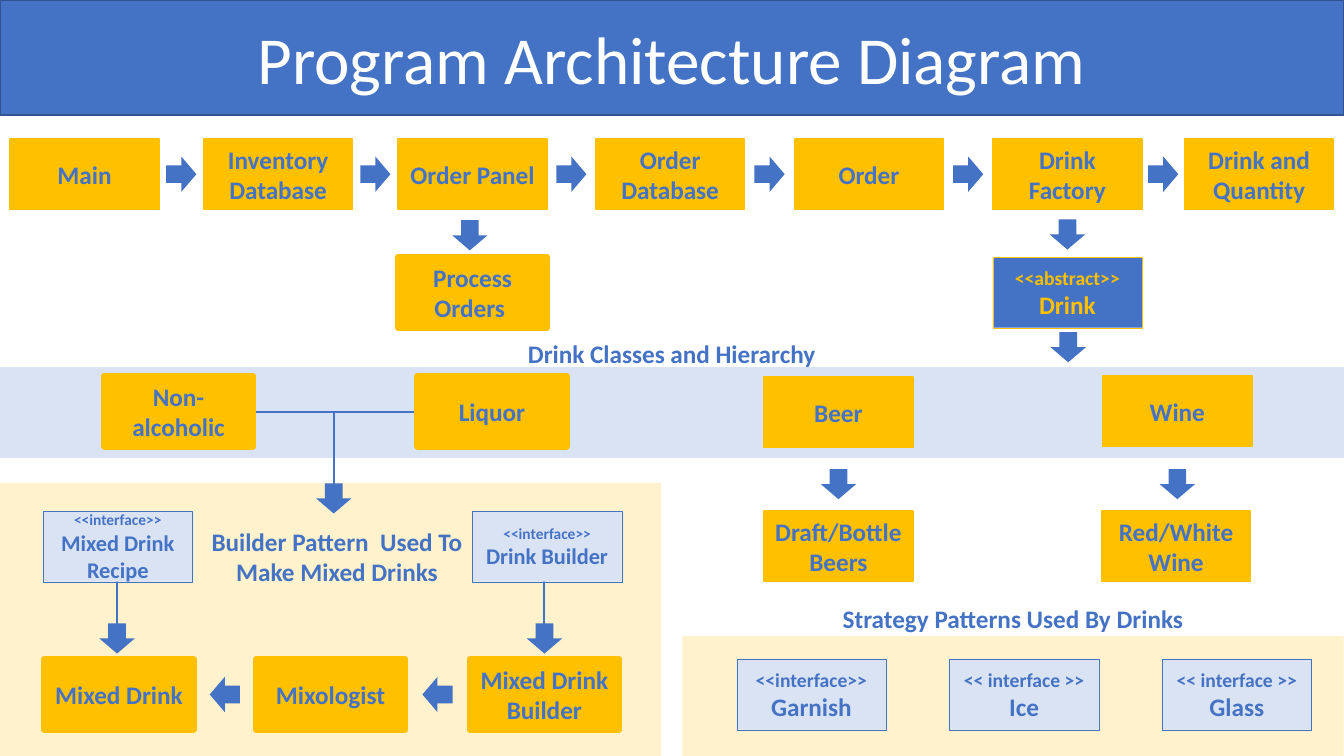
from lxml import etree
from pptx import Presentation
from pptx import util as u
from pptx.dml import color
from pptx.enum import shapes, text
from pptx.oxml import ns

COLORS = {"blue": "4472C4", "navy": "325491", "gold": "FFC000",
          "pale": "DAE3F3", "cream": "FFF2CC", "white": "FFFFFF"}
FONT = "Calibri"
SLIDE = (33.87, 19.05)
BOX = (3.76, 1.78)
ARROW = (0.76, 0.89)

# All lengths are in centimetres.
BANDS = [(0, 12.17, 16.66, 6.88, "cream"), (0, 9.25, SLIDE[0], 2.29, "pale"),
         (17.2, 16.03, 16.66, 3.02, "cream")]
TITLE = "Program Architecture Diagram"
LABELS = [("Drink Classes and Hierarchy", (8.46, 8.41, 16.94, 1.02)),
          ("Strategy Patterns Used By Drinks", (17.2, 15.09, 16.66, 1.02)),
          ("Builder Pattern  Used To Make Mixed Drinks", (5.08, 13.13, 6.83, 1.8))]

FLOW_TOP = 3.5
FLOW = [("Main", 0.25), ("Inventory\nDatabase", 5.13), ("Order Panel", 10.03),
        ("Order Database", 15.01), ("Order", 20.02), ("Drink Factory", 25.02),
        ("Drink and Quantity", 29.85)]
CLASSES = [("Wine", 27.79, 9.47), ("Beer", 19.25, 9.5),
           ("Draft/Bottle Beers", 19.25, 12.88), ("Red/White Wine", 27.76, 12.88)]
BUILDER_TOP = 16.61
BUILDERS = [("Mixed Drink", 1.12), ("Mixologist", 6.45), ("Mixed Drink Builder", 11.84)]
THICK_CLASSES = [("Process Orders ", 10.03, 6.48), ("Liquor", 10.52, 9.47),
                 ("Non-alcoholic", 2.62, 9.47)]

# Stereotype, name, left, top, stereotype size, name size
INTERFACES = [("<<interface>> ", "Mixed Drink Recipe", 1.09, 12.88, 11, 16),
              ("<<interface>> ", "Drink Builder", 11.91, 12.88, 11, 16),
              ("<<interface>> ", "Garnish", 18.57, BUILDER_TOP, 14, 18),
              ("<< interface >> ", "Ice", 23.93, BUILDER_TOP, 14, 18),
              ("<< interface >> ", "Glass", 29.29, BUILDER_TOP, 14, 18)]

# Start x, start y, end x, end y
LINES = [(6.38, 10.39, 10.52, 10.39), (8.41, 12.27, 8.41, 10.39),
         (2.95, 16.03, 2.95, 14.15), (13.72, 16.03, 13.72, 14.15)]
DOWN_ARROWS = [(11.84, 5.93), (26.9, 5.91), (26.92, 8.75), (21.13, 12.2),
               (29.67, 12.2), (8.41, 12.56), (2.95, 16.09), (13.72, 16.09)]


def rgb(name):
    """Return the named colour."""
    return color.RGBColor.from_string(COLORS[name])


def write(shape, spans, ink="blue", bold=True, anchor=text.MSO_ANCHOR.MIDDLE):
    """Write centred (words, size) spans into a shape."""
    frame = shape.text_frame
    frame.word_wrap = True
    frame.vertical_anchor = anchor
    para = frame.paragraphs[0]
    para.alignment = text.PP_ALIGN.CENTER
    for words, size in spans:
        for number, line in enumerate(words.split("\n")):
            if number:
                para.add_line_break()
            span = para.add_run()
            span.text = line
            span.font.name, span.font.size = FONT, u.Pt(size)
            span.font.bold, span.font.color.rgb = bold, rgb(ink)


def add_shape(frame, fill, kind=shapes.MSO_SHAPE.RECTANGLE, line=None, weight=1):
    """Add a flat preset shape at (left, top, width, height)."""
    shape = slide.shapes.add_shape(kind, *map(u.Cm, frame))
    shape.shadow.inherit = False
    shape.fill.solid()
    shape.fill.fore_color.rgb = rgb(fill)
    if line:
        shape.line.color.rgb = rgb(line)
        shape.line.width = u.Pt(weight)
    else:
        shape.line.fill.background()
    return shape


def add_box(spans, left, top, fill="gold", line="gold", weight=1, ink="blue"):
    """Add one class box with its text."""
    write(add_shape((left, top, *BOX), fill, line=line, weight=weight), spans, ink)


def add_arrow(center_x, center_y, turn=0):
    """Add a block arrow around its centre, turned clockwise in degrees."""
    width, height = ARROW
    frame = (center_x - width / 2, center_y - height / 2, width, height)
    add_shape(frame, "blue", shapes.MSO_SHAPE.RIGHT_ARROW).rotation = turn


def add_gap_arrows(lefts, top, turn=0):
    """Centre an arrow in each gap of a row of boxes."""
    for left, following in zip(lefts, lefts[1:]):
        add_arrow((left + BOX[0] + following) / 2, top + BOX[1] / 2, turn)


def add_line(ends):
    """Add a straight line without a shadow."""
    line = slide.shapes.add_connector(shapes.MSO_CONNECTOR.STRAIGHT, *map(u.Cm, ends))
    line.line.color.rgb = rgb("blue")
    line.line.width = u.Pt(1.5)
    etree.SubElement(line._element.spPr, ns.qn("a:effectLst"))


deck = Presentation()
deck.slide_width, deck.slide_height = map(u.Cm, SLIDE)
slide = deck.slides.add_slide(deck.slide_layouts[6])

for *frame, fill in BANDS:
    add_shape(frame, fill)
banner = add_shape((0, 0, SLIDE[0], 2.9), "blue", line="navy")
write(banner, [(TITLE, 48)], ink="white", bold=False)

for ends in LINES:
    add_line(ends)
for center in DOWN_ARROWS:
    add_arrow(*center, turn=90)
add_gap_arrows([left for _, left in FLOW], FLOW_TOP)
add_gap_arrows([left for _, left in BUILDERS], BUILDER_TOP, turn=180)

for name, left in FLOW:
    add_box([(name, 18)], left, FLOW_TOP)
for name, left, top in CLASSES:
    add_box([(name, 18)], left, top)
for name, left, top in THICK_CLASSES + [(*item, BUILDER_TOP) for item in BUILDERS]:
    add_box([(name, 18)], left, top, weight=4.5)
for stereotype, name, left, top, small, large in INTERFACES:
    add_box([(stereotype, small), (name, large)], left, top, "pale", "blue", 0.25)
add_box([("<<abstract>> ", 14), ("Drink", 18)], 25.02, 6.48, "blue", weight=0.25, ink="gold")

for words, frame in LABELS:
    label = slide.shapes.add_textbox(*map(u.Cm, frame))
    write(label, [(words, 18)], anchor=text.MSO_ANCHOR.TOP)

deck.save("out.pptx")
